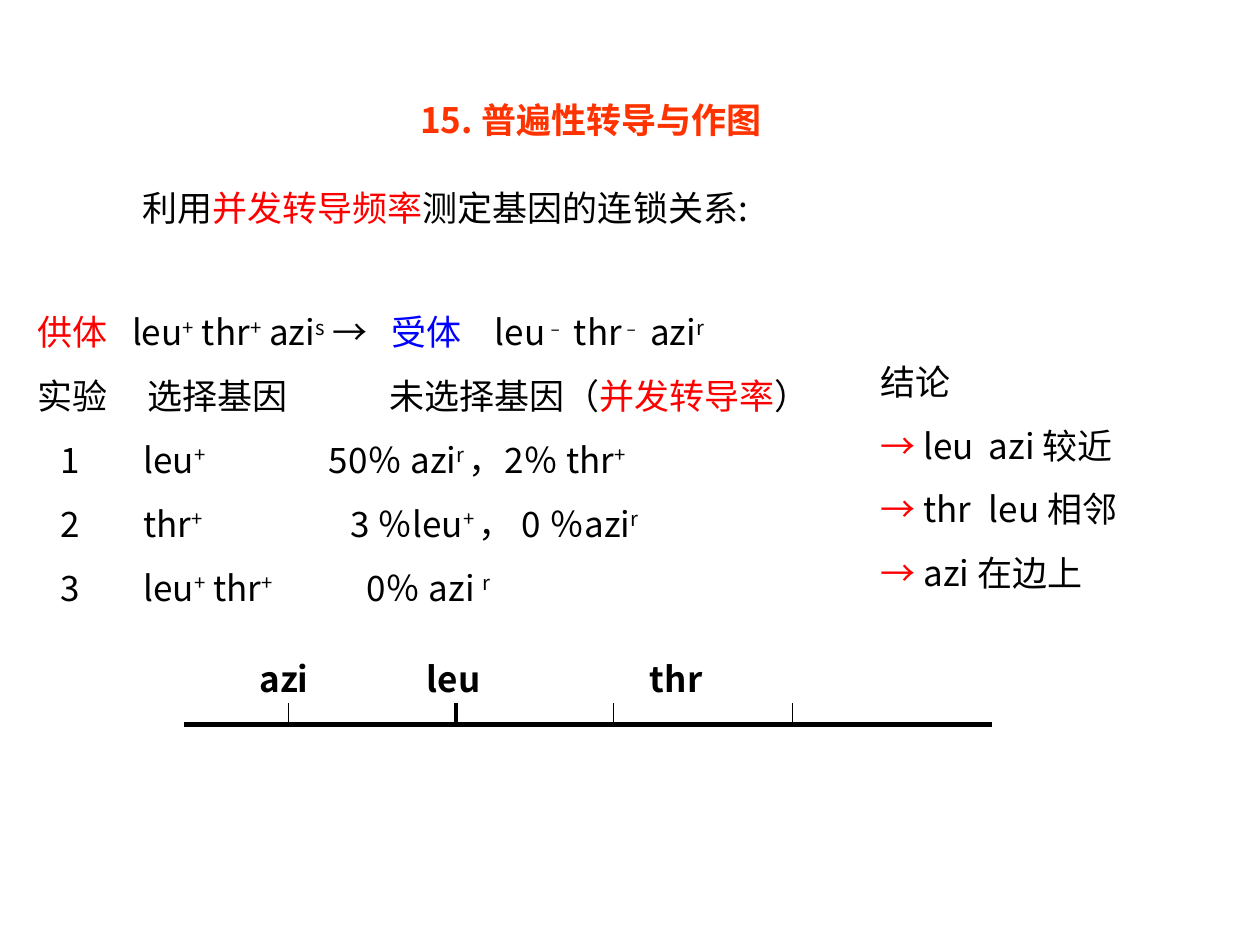
from dataclasses import dataclass

from lxml import etree
from pptx import Presentation
from pptx import util as u
from pptx.dml.color import RGBColor
from pptx.enum import shapes, text
from pptx.oxml import ns


@dataclass(frozen=True)
class Theme:
    face: str = "Noto Sans CJK SC"
    size: int = 20
    line: int = 24
    gap: float = 12.5
    title: str = "FF3300"
    red: str = "FF0000"
    blue: str = "0000FF"
    black: str = "000000"


class Deck:
    def __init__(self, theme):
        self.theme = theme
        self.file = Presentation()
        self.file.slide_width = u.Inches(10)
        self.file.slide_height = u.Inches(7.5)
        self.slide = self.file.slides.add_slide(self.file.slide_layouts[5])

    def style(self, para, color, bold=False):
        font = para.font
        font.name = self.theme.face
        font.size = u.Pt(self.theme.size)
        font.bold = bold
        font.color.rgb = RGBColor.from_string(color)
        base = para._p.get_or_add_pPr().find(ns.qn("a:defRPr"))
        east = etree.SubElement(base, ns.qn("a:ea"))
        east.set("typeface", self.theme.face)

    def title(self, words, area):
        shape = self.slide.shapes.title
        shape.left, shape.top, shape.width, shape.height = map(u.Inches, area)
        frame = shape.text_frame
        frame.auto_size = text.MSO_AUTO_SIZE.NONE
        frame.vertical_anchor = text.MSO_ANCHOR.MIDDLE
        frame.text = words
        para = frame.paragraphs[0]
        para.alignment = text.PP_ALIGN.CENTER
        self.style(para, self.theme.title, True)

    def tabs(self, para, stops):
        items = etree.SubElement(para._p.get_or_add_pPr(), ns.qn("a:tabLst"))
        for stop in stops:
            tab = etree.SubElement(items, ns.qn("a:tab"))
            tab.set("pos", str(u.Inches(stop)))
            tab.set("algn", "l")

    def run(self, para, part):
        marks = {"*": self.theme.red, "~": self.theme.blue}
        mark = part[0]
        run = para.add_run()
        run.text = part[1:] if mark in "*~^" else part
        if mark in marks:
            run.font.color.rgb = RGBColor.from_string(marks[mark])
        elif mark == "^":
            run._r.get_or_add_rPr().set("baseline", "30000")

    def text(self, home, area, rows, first=None, bold=False):
        box = home.add_textbox(*map(u.Inches, area))
        frame = box.text_frame
        frame.word_wrap = True
        for index, (stops, parts) in enumerate(rows):
            para = frame.paragraphs[0] if index == 0 else frame.add_paragraph()
            para.line_spacing = u.Pt(self.theme.line)
            if index:
                para.space_before = u.Pt(self.theme.gap)
            elif first:
                para.line_spacing = u.Pt(first)
            if stops:
                self.tabs(para, stops)
            self.style(para, self.theme.black, bold)
            for part in parts:
                self.run(para, part)

    def line(self, home, start, end, width):
        line = home.add_connector(
            shapes.MSO_CONNECTOR.STRAIGHT, *map(u.Inches, start + end))
        line.line.color.rgb = RGBColor.from_string(self.theme.black)
        line.line.width = u.Pt(width)
        etree.SubElement(line._element.spPr, ns.qn("a:effectLst"))

    def save(self):
        self.file.save("out.pptx")


def main():
    deck = Deck(Theme())
    page = deck.slide.shapes
    deck.title("15. 普遍性转导与作图", (2.64, 0.6, 4.1, 0.7))

    cross = [
        ((0.75, 2.34, 2.81, 3.63),
         ["*供体", "\tleu", "^+", " thr", "^+", " azi", "^s", "\t→\t", "~受体",
          "\tleu", "^﹣", " thr", "^﹣", " azi", "^r"]),
        ((0.87, 2.79), ["实验\t选择基因\t未选择基因（", "*并发转导率", "）"]),
        ((0.18, 0.84, 2.31),
         ["\t1\tleu", "^+", "\t50％ azi", "^r ", "，2％ thr", "^+"]),
        ((0.18, 0.84, 2.48),
         ["\t2\tthr", "^+", "\t3 ％leu", "^+ ", "， 0 ％azi", "^r"]),
        ((0.18, 0.84, 2.61),
         ["\t3\tleu", "^+", " thr", "^+", "\t0％ azi ", "^r"]),
    ]
    deck.text(page, (0.2, 2.18, 7.44, 2.7), cross, first=41)

    chart = page.add_group_shape().shapes
    base, top = 5.75, 5.58
    deck.line(chart, (1.46, base), (7.87, base), 3)
    deck.text(chart, (1.96, 5.17, 4.75, 0.44),
              [((3.1,), ["azi\tthr"])], bold=True)
    for x, width in ((2.29, 0.75), (4.87, 0.75), (6.29, 0.75), (3.62, 2.25)):
        deck.line(chart, (x, top), (x, base), width)
    deck.text(chart, (3.29, 5.17, 0.92, 0.44), [((), ["leu"])], bold=True)

    result = [((), ["结论"])]
    for words in ("leu\tazi 较近", "thr\tleu 相邻", "azi 在边上"):
        result.append(((0.86,), ["*→ ", words]))
    deck.text(page, (6.89, 2.81, 2.36, 1.96), result)

    lead = ["\t利用", "*并发转导频率", "测定基因的连锁关系:"]
    deck.text(page, (0.9, 1.43, 5.35, 0.44), [((0.13,), lead)])
    deck.save()


if __name__ == "__main__":
    main()
